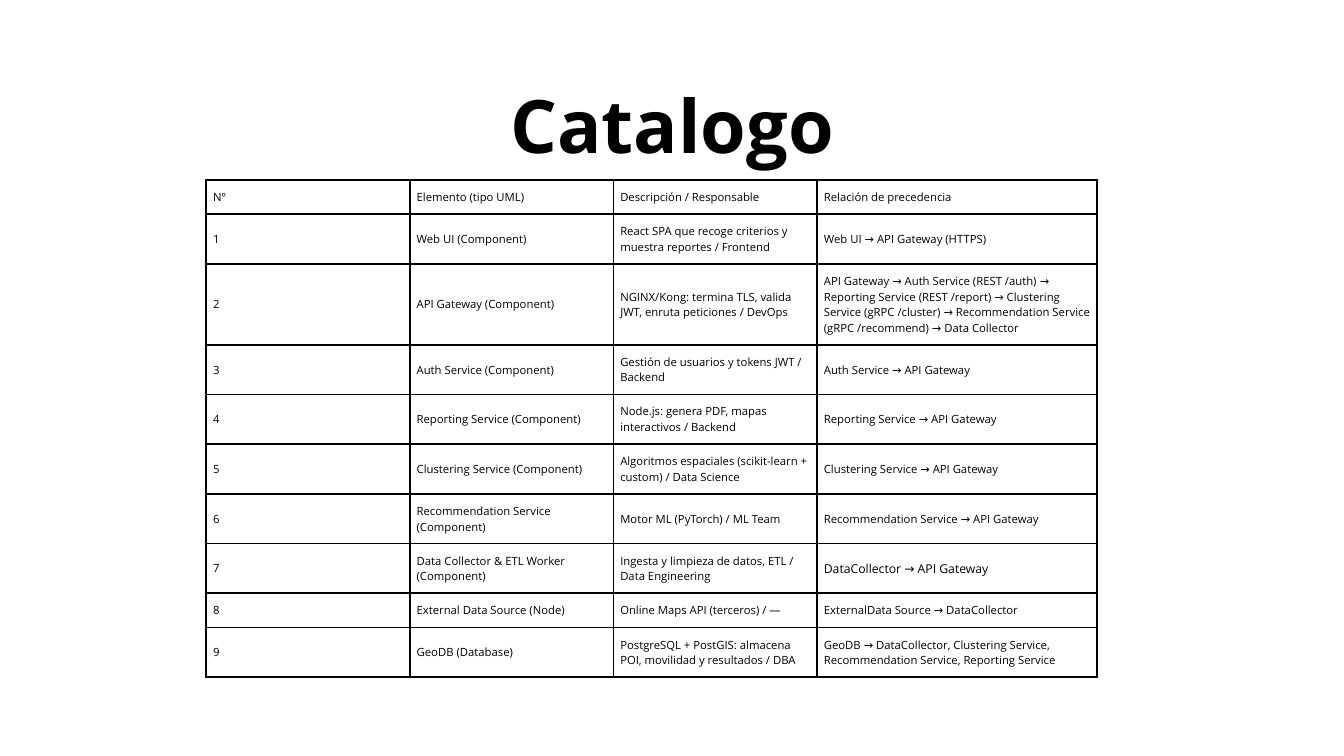
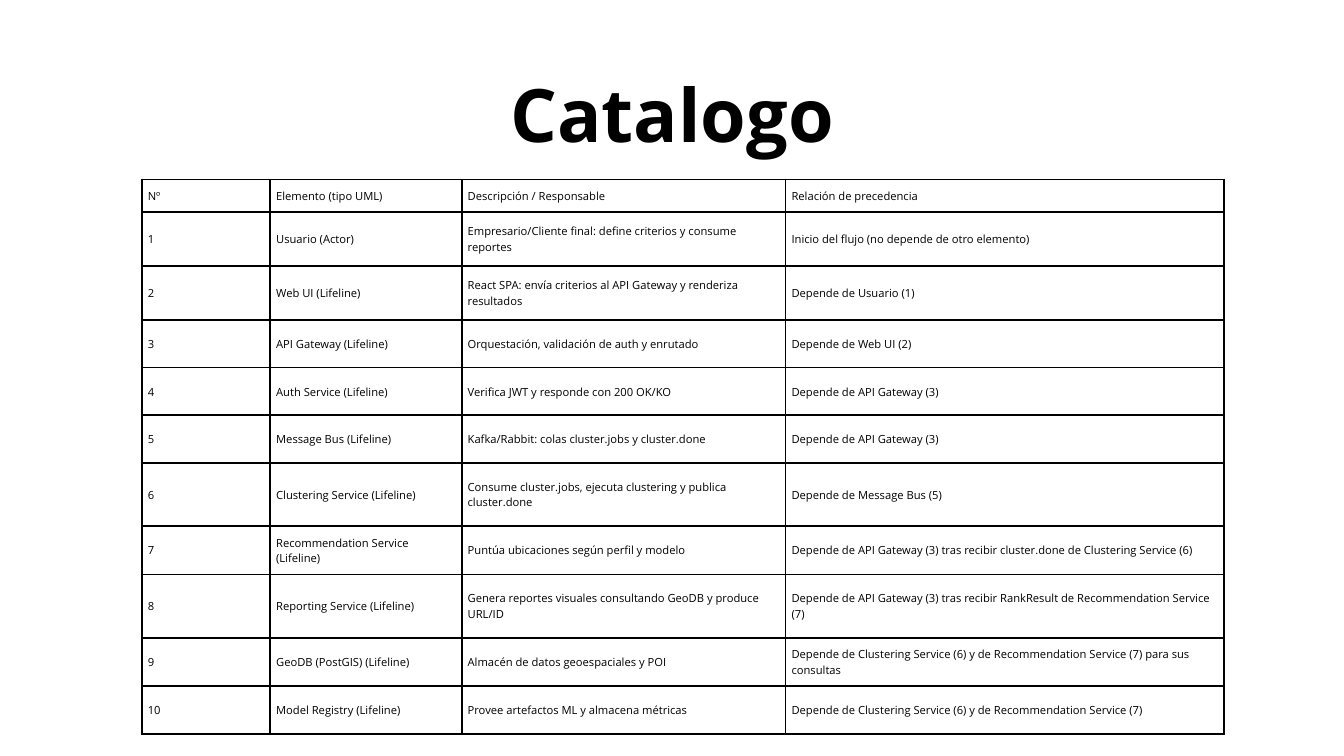
import pptx
import pptx.util
import pptx.dml.color
import pptx.enum.text
import pptx.oxml
import pptx.oxml.ns

SCALE = 9144
WIDE, HIGH = 2000, 1125
COLORS = {"ink": "000000", "paper": "FFFFFF"}
FONT = "Open Sans"
LEADING = 1.4
RULE = 2.25
HEAD = ("Nº", "Elemento (tipo UML)", "Descripción / Responsable", "Relación de precedencia")

PARTS = [
    ("Web UI (Component)", "React SPA que recoge criterios y muestra reportes / Frontend",
     "Web UI → API Gateway (HTTPS)"),
    ("API Gateway (Component)", "NGINX/Kong: termina TLS, valida JWT, enruta peticiones / DevOps",
     "API Gateway → Auth Service (REST /auth) → Reporting Service (REST /report) → "
     "Clustering Service (gRPC /cluster) → Recommendation Service (gRPC /recommend) → Data Collector"),
    ("Auth Service (Component)", "Gestión de usuarios y tokens JWT / Backend",
     "Auth Service → API Gateway"),
    ("Reporting Service (Component)", "Node.js: genera PDF, mapas interactivos / Backend",
     "Reporting Service → API Gateway"),
    ("Clustering Service (Component)", "Algoritmos espaciales (scikit-learn + custom) / Data Science",
     "Clustering Service → API Gateway"),
    ("Recommendation Service (Component)", "Motor ML (PyTorch) / ML Team",
     "Recommendation Service → API Gateway"),
    ("Data Collector & ETL Worker (Component)", "Ingesta y limpieza de datos, ETL / Data Engineering",
     "DataCollector → API Gateway"),
    ("External Data Source (Node)", "Online Maps API (terceros) / —",
     "ExternalData Source → DataCollector"),
    ("GeoDB (Database)", "PostgreSQL + PostGIS: almacena POI, movilidad y resultados / DBA",
     "GeoDB → DataCollector, Clustering Service, Recommendation Service, Reporting Service"),
]

LINES = [
    ("Usuario (Actor)", "Empresario/Cliente final: define criterios y consume reportes",
     "Inicio del flujo (no depende de otro elemento)"),
    ("Web UI (Lifeline)", "React SPA: envía criterios al API Gateway y renderiza resultados",
     "Depende de Usuario (1)"),
    ("API Gateway (Lifeline)", "Orquestación, validación de auth y enrutado",
     "Depende de Web UI (2)"),
    ("Auth Service (Lifeline)", "Verifica JWT y responde con 200 OK/KO",
     "Depende de API Gateway (3)"),
    ("Message Bus (Lifeline)", "Kafka/Rabbit: colas cluster.jobs y cluster.done",
     "Depende de API Gateway (3)"),
    ("Clustering Service (Lifeline)", "Consume cluster.jobs, ejecuta clustering y publica cluster.done",
     "Depende de Message Bus (5)"),
    ("Recommendation Service (Lifeline)", "Puntúa ubicaciones según perfil y modelo",
     "Depende de API Gateway (3) tras recibir cluster.done de Clustering Service (6)"),
    ("Reporting Service (Lifeline)", "Genera reportes visuales consultando GeoDB y produce URL/ID",
     "Depende de API Gateway (3) tras recibir RankResult de Recommendation Service (7)"),
    ("GeoDB (PostGIS) (Lifeline)", "Almacén de datos geoespaciales y POI",
     "Depende de Clustering Service (6) y de Recommendation Service (7) para sus consultas"),
    ("Model Registry (Lifeline)", "Provee artefactos ML y almacena métricas",
     "Depende de Clustering Service (6) y de Recommendation Service (7)"),
]


def px(size):
    return pptx.util.Emu(size * SCALE)


class Deck:
    def __init__(self):
        self.prs = pptx.Presentation()
        self.prs.slide_width, self.prs.slide_height = px(WIDE), px(HIGH)
        self.slide = None

    def page(self):
        self.slide = self.prs.slides.add_slide(self.prs.slide_layouts[6])
        fill = self.slide.background.fill
        fill.solid()
        fill.fore_color.rgb = pptx.dml.color.RGBColor.from_string(COLORS["paper"])

    def label(self, frame, text, size, bold=False, align=pptx.enum.text.PP_ALIGN.LEFT):
        frame.word_wrap = True
        para = frame.paragraphs[0]
        para.alignment = align
        para.line_spacing = pptx.util.Pt(round(size * LEADING, 1))
        run = para.add_run()
        run.text = text
        font = run.font
        font.name, font.size, font.bold = FONT, pptx.util.Pt(size), bold
        font.color.rgb = pptx.dml.color.RGBColor.from_string(COLORS["ink"])

    def inset(self, item, size):
        item.margin_left = item.margin_right = px(size)
        item.margin_top = item.margin_bottom = px(size)

    def title(self, text, top, width):
        box = self.slide.shapes.add_textbox(px((WIDE - width) // 2), px(top), px(width), px(147))
        frame = box.text_frame
        self.inset(frame, 0)
        frame.auto_size = pptx.enum.text.MSO_AUTO_SIZE.SHAPE_TO_FIT_TEXT
        self.label(frame, text, 79, True, pptx.enum.text.PP_ALIGN.CENTER)

    def border(self, cell):
        props = cell._tc.get_or_add_tcPr()
        for spot, side in enumerate("LRTB"):
            line = pptx.oxml.parse_xml(
                f'<a:ln{side} {pptx.oxml.ns.nsdecls("a")} w="{pptx.util.Pt(RULE)}">'
                f'<a:solidFill><a:srgbClr val="{COLORS["ink"]}"/></a:solidFill></a:ln{side}>')
            props.insert(spot, line)

    def table(self, left, top, cols, rows, data, size, pad, large=None):
        grid = [HEAD] + [(str(num), *row) for num, row in enumerate(data, 1)]
        table = self.slide.shapes.add_table(
            len(rows), len(cols), px(left), px(top), px(sum(cols)), px(sum(rows))).table
        table.first_row = table.horz_banding = False
        for col, width in zip(table.columns, cols):
            col.width = px(width)
        for row, height in zip(table.rows, rows):
            row.height = px(height)
        for r, texts in enumerate(grid):
            for c, text in enumerate(texts):
                cell = table.cell(r, c)
                cell.fill.background()
                cell.vertical_anchor = pptx.enum.text.MSO_ANCHOR.MIDDLE
                self.inset(cell, pad)
                self.border(cell)
                self.label(cell.text_frame, text, size + 1 if (r, c) == large else size)


def main():
    deck = Deck()
    deck.page()
    deck.table(307, 268, [303] * 3 + [417], [51, 74, 120] + [74] * 5 + [51, 74],
               PARTS, 12.1, 10, large=(7, 3))
    deck.title("Catalogo", 97, 1464)
    deck.page()
    deck.table(211, 267, [191, 285, 482, 652],
               [49, 80, 80, 71, 71, 71, 94, 72, 94, 72, 71], LINES, 12, 9)
    deck.title("Catalogo", 80, 1620)
    deck.prs.save("out.pptx")


if __name__ == "__main__":
    main()
